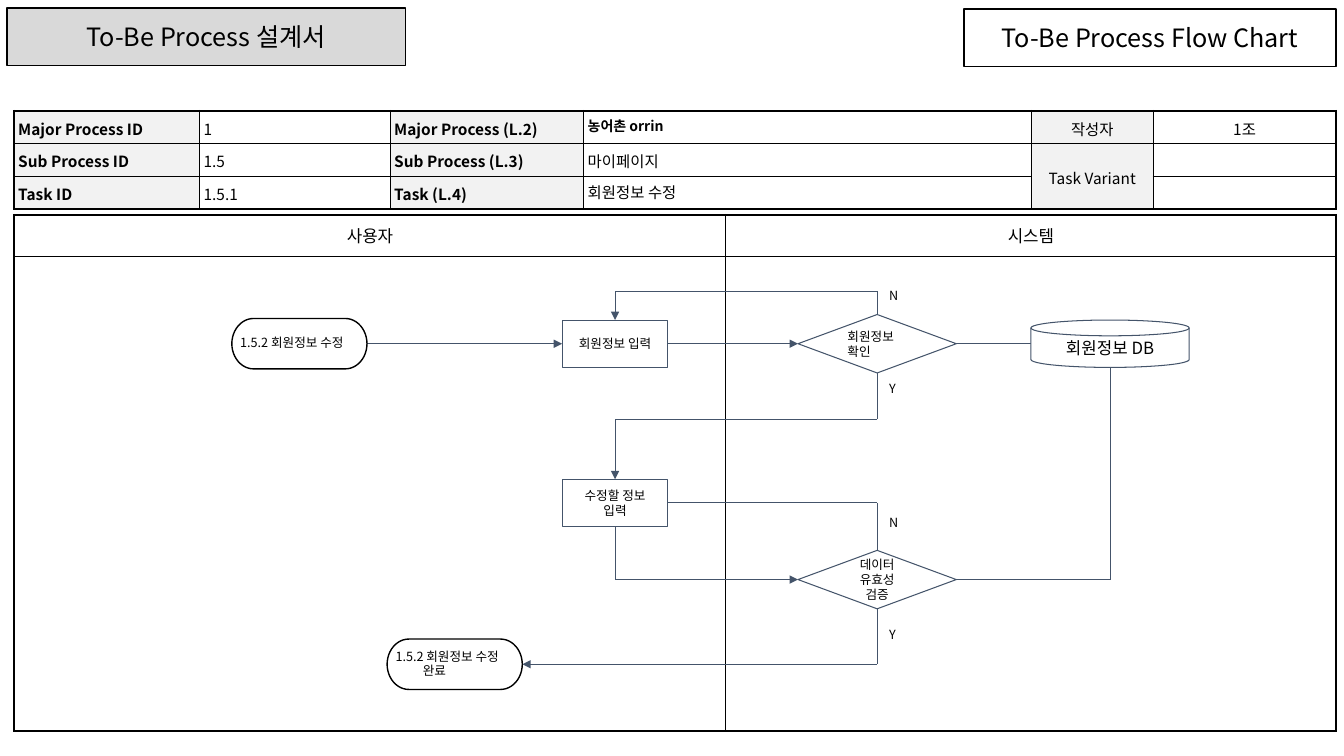
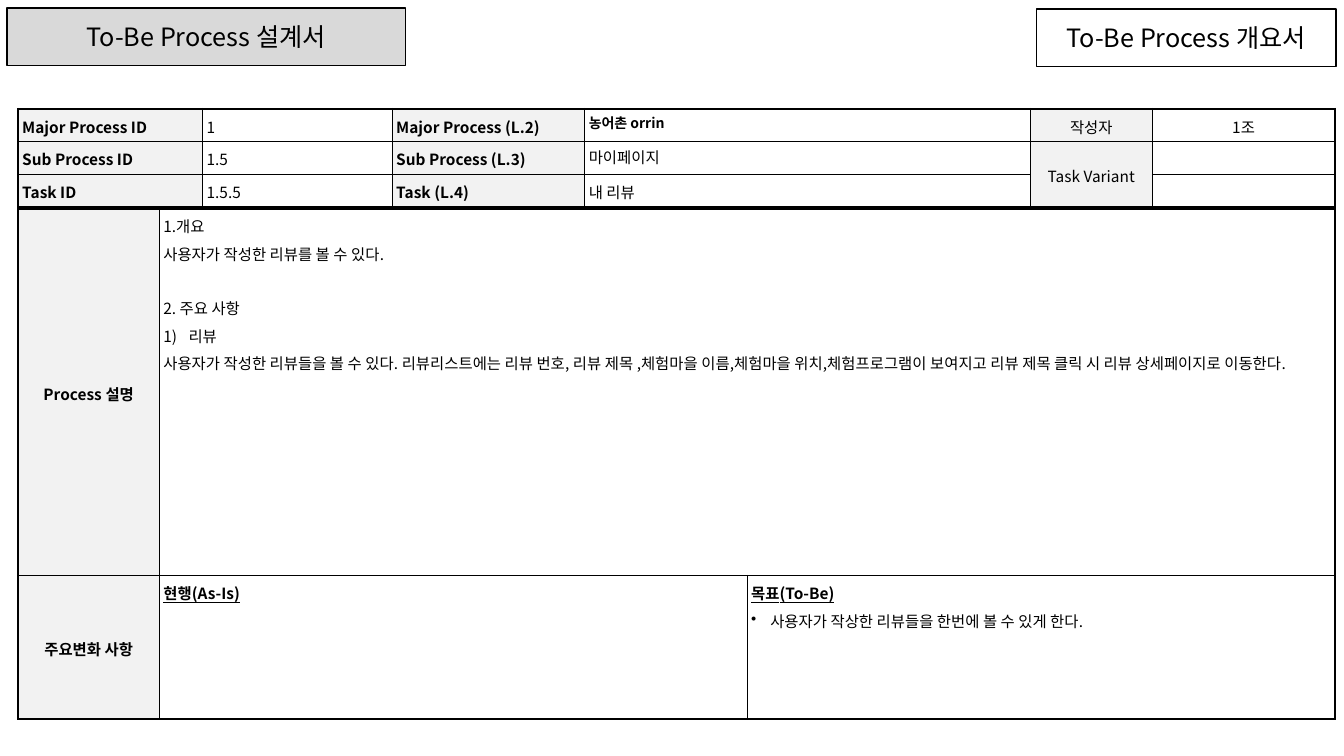
"""Build the To-Be process flow chart and process overview slides."""
from itertools import pairwise

from lxml.etree import SubElement
from pptx import Presentation
from pptx.dml.color import RGBColor
from pptx.enum.shapes import MSO_CONNECTOR, MSO_SHAPE
from pptx.enum.text import MSO_ANCHOR, MSO_AUTO_SIZE, PP_ALIGN
from pptx.oxml.ns import qn
from pptx.util import Inches, Pt

BLACK = RGBColor(0x00, 0x00, 0x00)
WHITE = RGBColor(0xFF, 0xFF, 0xFF)
BANNER_GREY = RGBColor(0xD9, 0xD9, 0xD9)
LABEL_GREY = RGBColor(0xF2, 0xF2, 0xF2)
FLOW_BLUE = RGBColor(0x44, 0x54, 0x6A)
FONT = "Noto Sans CJK KR"
CENTER = PP_ALIGN.CENTER
FRAME_WIDTH = 1.5


def write(paragraph, text, size=11, bold=False, underline=False, spacing=1.1,
          align=PP_ALIGN.LEFT, before=0, hang=0, bullet=None):
    """Add formatted text to a paragraph, one run per line."""
    paragraph.alignment = align
    paragraph.line_spacing = spacing
    paragraph.space_before = Pt(before)
    properties = paragraph._p.get_or_add_pPr()
    properties.set("marL", str(Inches(hang)))
    properties.set("indent", str(-Inches(hang)))
    if bullet == "number":
        SubElement(properties, qn("a:buAutoNum"), type="arabicParenR")
    elif bullet:
        SubElement(properties, qn("a:buChar"), char=bullet)
    for index, line in enumerate(text.split("\n")):
        if index:
            paragraph.add_line_break()
        run = paragraph.add_run()
        run.text = line
        font = run.font
        font.name, font.size, font.bold, font.underline = FONT, Pt(size), bold, underline
        font.color.rgb = BLACK
        SubElement(run._r.get_or_add_rPr(), qn("a:ea"), typeface=FONT)


def add_grid(slide, left, top, columns, rows, label_columns=(), inner=1, merged=None):
    """Add a table with a heavy frame, thin inner lines and grey label columns."""
    frame = slide.shapes.add_table(len(rows), len(columns), Inches(left), Inches(top),
                                   Inches(sum(columns)), Inches(sum(rows)))
    table = frame.table
    table.first_row = table.horz_banding = False
    for column, width in zip(table.columns, columns):
        column.width = Inches(width)
    for row, height in zip(table.rows, rows):
        row.height = Inches(height)
    if merged:
        first, last = merged
        table.cell(*first).merge(table.cell(*last))
    for r in range(len(rows)):
        for c in range(len(columns)):
            cell = table.cell(r, c)
            cell.margin_left = cell.margin_right = Inches(0.04)
            cell.margin_top = cell.margin_bottom = Inches(0.04)
            last_row, last_column = last if merged and (r, c) == first else (r, c)
            outer_sides = {"L": c == 0, "R": last_column == len(columns) - 1,
                           "T": r == 0, "B": last_row == len(rows) - 1}
            for side, is_outer in outer_sides.items():
                border = SubElement(cell._tc.get_or_add_tcPr(), qn(f"a:ln{side}"),
                                    w=str(Pt(FRAME_WIDTH if is_outer else inner)))
                fill = SubElement(border, qn("a:solidFill"))
                SubElement(fill, qn("a:srgbClr"), val=str(BLACK))
            cell.fill.solid()
            cell.fill.fore_color.rgb = LABEL_GREY if c in label_columns else WHITE
            SubElement(cell.text_frame.paragraphs[0]._p, qn("a:endParaRPr"), sz="1100")
    return table


presentation = Presentation()
presentation.slide_width = Inches(13.33)
presentation.slide_height = Inches(7.5)

pages = [
    ("To-Be Process Flow Chart", 3.69, 0.14, 1.1, [1.84, 1.89, 1.92, 4.44, 1.21, 1.81],
     "1.5.1", "회원정보 수정", (1, 1.1, 1)),
    ("To-Be Process 개요서", 2.97, 0.18, 1.08, [1.83, 1.88, 1.91, 4.42, 1.21, 1.81],
     "1.5.5", "내 리뷰", (1, 1, 1.1)),
]
for title_text, title_width, left, top, columns, task_id, task_name, name_spacing in pages:
    slide = presentation.slides.add_slide(presentation.slide_layouts[5])

    banner = slide.shapes.add_shape(MSO_SHAPE.RECTANGLE, Inches(0.07), Inches(0.08),
                                    Inches(3.95), Inches(0.57))
    banner.shadow.inherit = False
    banner.fill.solid()
    banner.fill.fore_color.rgb = BANNER_GREY
    title = slide.shapes.title
    title.left, title.top = Inches(13.25 - title_width), Inches(0.09)
    title.width, title.height = Inches(title_width), Inches(0.57)
    for shape, text in [(banner, "To-Be Process 설계서"), (title, title_text)]:
        shape.line.color.rgb = BLACK
        shape.line.width = Pt(1)
        shape.text_frame.auto_size = MSO_AUTO_SIZE.NONE
        shape.text_frame.vertical_anchor = MSO_ANCHOR.MIDDLE
        write(shape.text_frame.paragraphs[0], text, 18, spacing=1, align=CENTER)

    header = add_grid(slide, left, top, columns, [0.31] * 3, label_columns=(0, 2, 4),
                      merged=((1, 4), (2, 4)))
    header_rows = [
        ("Major Process ID", "1", "Major Process (L.2)", "농어촌 orrin", "작성자", "1조"),
        ("Sub Process ID", "1.5", "Sub Process (L.3)", "마이페이지", "Task Variant"),
        ("Task ID", task_id, "Task (L.4)", task_name),
    ]
    for r, texts in enumerate(header_rows):
        for c, text in enumerate(texts):
            cell = header.cell(r, c)
            is_major_name = (r, c) == (0, 3)
            if c >= 4:
                cell.vertical_anchor = MSO_ANCHOR.MIDDLE
            write(cell.text_frame.paragraphs[0], text, 10 if is_major_name else 11,
                  bold=c in (0, 2) or is_major_name,
                  spacing=name_spacing[r] if c == 3 else 1.1,
                  align=CENTER if c >= 4 else PP_ALIGN.LEFT)

flow_slide, overview_slide = presentation.slides

lanes = add_grid(flow_slide, 0.14, 2.13, [7.06, 6.05], [0.41, 4.71], inner=0.75)
for c, actor in enumerate(["사용자", "시스템"]):
    cell = lanes.cell(0, c)
    cell.vertical_anchor = MSO_ANCHOR.MIDDLE
    write(cell.text_frame.paragraphs[0], actor, 12, spacing=1, align=CENTER)

START_X, END_X, INPUT_X, CHECK_X, DATABASE_X = 2.97, 4.51, 6.1, 8.7, 11.01
INPUT_Y, EDIT_Y, VALIDATE_Y, END_Y = 3.41, 4.99, 5.75, 6.59
RETRY_Y, ACCEPT_Y = 2.89, 4.16
TERMINATOR, BOX = (1.34, 0.5), (1.05, 0.47)
DIAMOND, DISK = (1.57, 0.58), (1.57, 0.47)

routes = [
    ([(START_X + TERMINATOR[0] / 2, INPUT_Y), (INPUT_X - BOX[0] / 2, INPUT_Y)], True),
    ([(INPUT_X + BOX[0] / 2, INPUT_Y), (CHECK_X - DIAMOND[0] / 2, INPUT_Y)], True),
    ([(CHECK_X + DIAMOND[0] / 2, INPUT_Y), (DATABASE_X - DISK[0] / 2, INPUT_Y)], False),
    ([(CHECK_X, INPUT_Y - DIAMOND[1] / 2), (CHECK_X, RETRY_Y), (INPUT_X, RETRY_Y),
      (INPUT_X, INPUT_Y - BOX[1] / 2)], True),
    ([(CHECK_X, INPUT_Y + DIAMOND[1] / 2), (CHECK_X, ACCEPT_Y), (INPUT_X, ACCEPT_Y),
      (INPUT_X, EDIT_Y - BOX[1] / 2)], True),
    ([(INPUT_X, EDIT_Y + BOX[1] / 2), (INPUT_X, VALIDATE_Y),
      (CHECK_X - DIAMOND[0] / 2, VALIDATE_Y)], True),
    ([(CHECK_X, VALIDATE_Y - DIAMOND[1] / 2), (CHECK_X, EDIT_Y),
      (INPUT_X + BOX[0] / 2, EDIT_Y)], False),
    ([(CHECK_X + DIAMOND[0] / 2, VALIDATE_Y), (DATABASE_X, VALIDATE_Y),
      (DATABASE_X, INPUT_Y + DISK[1] / 2)], False),
    ([(CHECK_X, VALIDATE_Y + DIAMOND[1] / 2), (CHECK_X, END_Y),
      (END_X + TERMINATOR[0] / 2, END_Y)], True),
]
for points, has_arrow in routes:
    for begin, end in pairwise(points):
        connector = flow_slide.shapes.add_connector(
            MSO_CONNECTOR.STRAIGHT, *[Inches(value) for value in begin + end])
        connector.line.color.rgb = FLOW_BLUE
        connector.line.width = Pt(0.75)
        SubElement(connector._element.spPr, qn("a:effectLst"))
    if has_arrow:
        SubElement(connector.line._get_or_add_ln(), qn("a:tailEnd"), type="triangle")

nodes = [
    (MSO_SHAPE.FLOWCHART_TERMINATOR, TERMINATOR, START_X, INPUT_Y, "1.5.2 회원정보 수정"),
    (MSO_SHAPE.RECTANGLE, BOX, INPUT_X, INPUT_Y, "회원정보 입력"),
    (MSO_SHAPE.DIAMOND, DIAMOND, CHECK_X, INPUT_Y, "회원정보 확인"),
    (MSO_SHAPE.FLOWCHART_MAGNETIC_DISK, DISK, DATABASE_X, INPUT_Y, "회원정보 DB"),
    (MSO_SHAPE.RECTANGLE, BOX, INPUT_X, EDIT_Y, "수정할 정보 입력"),
    (MSO_SHAPE.DIAMOND, DIAMOND, CHECK_X, VALIDATE_Y, "데이터 유효성 검증"),
    (MSO_SHAPE.FLOWCHART_TERMINATOR, TERMINATOR, END_X, END_Y, "1.5.2 회원정보 수정\n완료"),
]
for kind, (width, height), x, y, text in nodes:
    shape = flow_slide.shapes.add_shape(kind, Inches(x - width / 2), Inches(y - height / 2),
                                        Inches(width), Inches(height))
    is_terminator = kind == MSO_SHAPE.FLOWCHART_TERMINATOR
    shape.shadow.inherit = False
    shape.fill.solid()
    shape.fill.fore_color.rgb = WHITE
    shape.line.color.rgb = BLACK if is_terminator else FLOW_BLUE
    shape.line.width = Pt(1 if is_terminator else 0.75)
    frame = shape.text_frame
    frame.vertical_anchor = MSO_ANCHOR.MIDDLE
    frame.margin_left = frame.margin_right = Inches(0.02 if is_terminator else 0.1)
    frame.margin_top = frame.margin_bottom = Inches(0 if is_terminator else 0.1)
    is_left = is_terminator or text == "회원정보 확인"
    write(frame.paragraphs[0], text,
          12 if kind == MSO_SHAPE.FLOWCHART_MAGNETIC_DISK else 9,
          spacing=0.9 if is_terminator else 1,
          align=PP_ALIGN.LEFT if is_left else CENTER,
          hang=0.27 if is_terminator else 0)

for answer, y in [("N", 2.78), ("Y", 3.7), ("N", 5.03), ("Y", 6.14)]:
    label = flow_slide.shapes.add_textbox(Inches(8.72), Inches(y), Inches(0.31), Inches(0.35))
    frame = label.text_frame
    frame.word_wrap = True
    frame.margin_left = frame.margin_top = frame.margin_bottom = Inches(0.1)
    frame.margin_right = 0
    write(frame.paragraphs[0], answer, 9, spacing=1)

overview = add_grid(overview_slide, 0.18, 2.07, [1.4, 5.83, 5.83], [3.64, 1.42],
                    label_columns=(0,), merged=((0, 1), (0, 2)))
overview.cell(0, 1).margin_right = Inches(0.3)
for r, text in enumerate(["Process 설명", "주요변화 사항"]):
    cell = overview.cell(r, 0)
    cell.vertical_anchor = MSO_ANCHOR.MIDDLE
    write(cell.text_frame.paragraphs[0], text, bold=True, align=CENTER)

heading = {"bold": True, "underline": True}
contents = {
    (0, 1): [
        ("1.개요", {}),
        ("사용자가 작성한 리뷰를 볼 수 있다.", {"before": 2}),
        ("2. 주요 사항", {"before": 21.5}),
        ("리뷰", {"before": 2, "hang": 0.25, "bullet": "number"}),
        ("사용자가 작성한 리뷰들을 볼 수 있다. 리뷰리스트에는 리뷰 번호, 리뷰 제목 ,"
         "체험마을 이름,체험마을 위치,체험프로그램이 보여지고 리뷰 제목 클릭 시 "
         "리뷰 상세페이지로 이동한다.", {"before": 2}),
    ],
    (1, 1): [("현행(As-Is)", heading)],
    (1, 2): [
        ("목표(To-Be)", heading),
        ("사용자가 작상한 리뷰들을 한번에 볼 수 있게 한다.",
         {"before": 2.2, "hang": 0.19, "bullet": "•"}),
    ],
}
for (r, c), lines in contents.items():
    frame = overview.cell(r, c).text_frame
    for index, (text, style) in enumerate(lines):
        paragraph = frame.add_paragraph() if index else frame.paragraphs[0]
        write(paragraph, text, **style)

presentation.save("out.pptx")
